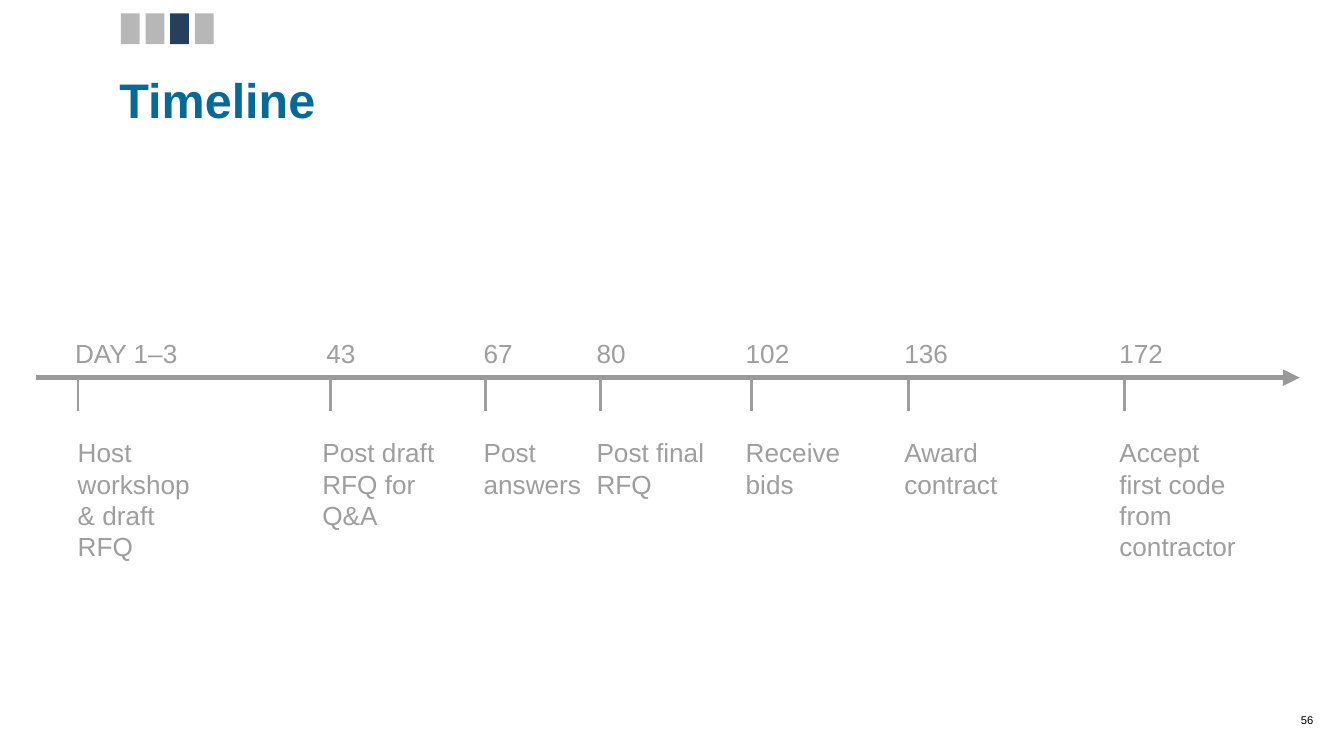
from lxml import etree
from pptx import Presentation
from pptx.dml.color import RGBColor
from pptx.enum.shapes import MSO_CONNECTOR, MSO_SHAPE
from pptx.enum.text import MSO_ANCHOR, PP_ALIGN
from pptx.oxml.ns import qn
from pptx.util import Inches, Pt

STRAIGHT = MSO_CONNECTOR.STRAIGHT
RECTANGLE = MSO_SHAPE.RECTANGLE
LEFT, RIGHT = PP_ALIGN.LEFT, PP_ALIGN.RIGHT
TOP, MIDDLE = MSO_ANCHOR.TOP, MSO_ANCHOR.MIDDLE

FONT = "Arial"
GREY, AXIS_GREY = "9E9E9E", "999999"
BAR_GREY, NAVY, BLUE, BLACK = "B7B7B7", "24405C", "046B99", "000000"
AXIS_Y = 2.81

# day, activity, left of day, left of activity, tick position
MILESTONES = [
    ("DAY 1–3", "Host workshop & draft RFQ", 0.46, 0.48, 0.58),
    ("43", "Post draft RFQ for Q&A", 2.33, 2.3, 2.46),
    ("67", "Post answers", 3.5, 3.5, 3.61),
    ("80", "Post final RFQ", 4.34, 4.34, 4.47),
    ("102", "Receive bids", 5.45, 5.45, 5.59),
    ("136", "Award contract", 6.63, 6.63, 6.76),
    ("172", "Accept first code from contractor", 8.23, 8.23, 8.37),
]


def color(value):
    return RGBColor.from_string(value)


def add_text(s, text, x, y, w, h, size, fill, bold=False, align=LEFT, anchor=TOP):
    tf = s.shapes.add_textbox(Inches(x), Inches(y), Inches(w), Inches(h)).text_frame
    tf.word_wrap = True
    tf.vertical_anchor = anchor
    tf.margin_left = tf.margin_right = Inches(0.1)
    tf.margin_top = tf.margin_bottom = Inches(0.1)
    p = tf.paragraphs[0]
    p.alignment = align
    r = p.add_run()
    r.text = text
    r.font.name = FONT
    r.font.size = Pt(size)
    r.font.bold = bold
    r.font.color.rgb = color(fill)


def add_line(s, x1, y1, x2, y2, stroke, width, arrow=False):
    line = s.shapes.add_connector(
        STRAIGHT, Inches(x1), Inches(y1), Inches(x2), Inches(y2))
    line.line.color.rgb = color(stroke)
    line.line.width = Pt(width)
    sp_pr = line._element.spPr
    if arrow:
        etree.SubElement(sp_pr.find(qn("a:ln")), qn("a:tailEnd"), type="triangle")
    etree.SubElement(sp_pr, qn("a:effectLst"))


def add_bar(s, x, y, w, h, fill):
    sp = s.shapes.add_shape(RECTANGLE, Inches(x), Inches(y), Inches(w), Inches(h))
    sp.shadow.inherit = False
    sp.fill.solid()
    sp.fill.fore_color.rgb = color(fill)
    sp.line.fill.background()


def add_milestone(s, day, activity, day_x, activity_x, tick_x):
    for text, x, y in ((day, day_x, 2.41), (activity, activity_x, 3.15)):
        add_text(s, text, x, y, 1.15, 0.26, 14, GREY)
    add_line(s, tick_x, AXIS_Y, tick_x, AXIS_Y + 0.25, GREY, 1.5)


def main():
    # Widescreen slide, 16:9
    prs = Presentation()
    prs.slide_width = Inches(10)
    prs.slide_height = prs.slide_width * 9 // 16
    s = prs.slides.add_slide(prs.slide_layouts[6])

    # Time axis and milestones
    add_line(s, 0.27, AXIS_Y, 9.67, AXIS_Y, AXIS_GREY, 3, arrow=True)
    for milestone in MILESTONES:
        add_milestone(s, *milestone)

    # Section marker: third of four is current
    for i in range(4):
        add_bar(s, 0.9 + i * 0.55 / 3, 0.1, 0.14, 0.23, NAVY if i == 2 else BAR_GREY)

    # Title and page number
    add_text(s, "Timeline", 0.79, 0.42, 8.08, 0.92, 26, BLUE, bold=True)
    add_text(s, "56", 9.27, 5.21, 0.6, 0.29, 6, BLACK, align=RIGHT, anchor=MIDDLE)

    prs.save("out.pptx")


if __name__ == "__main__":
    main()
